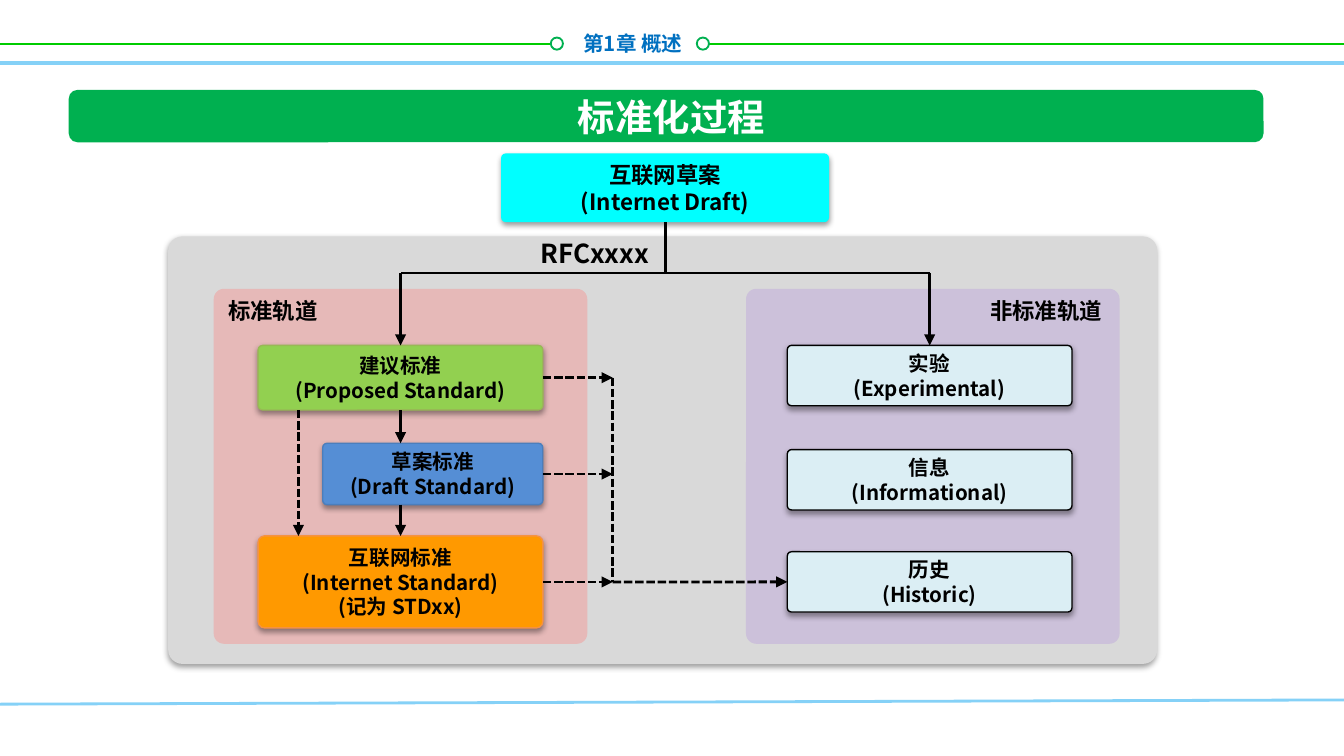
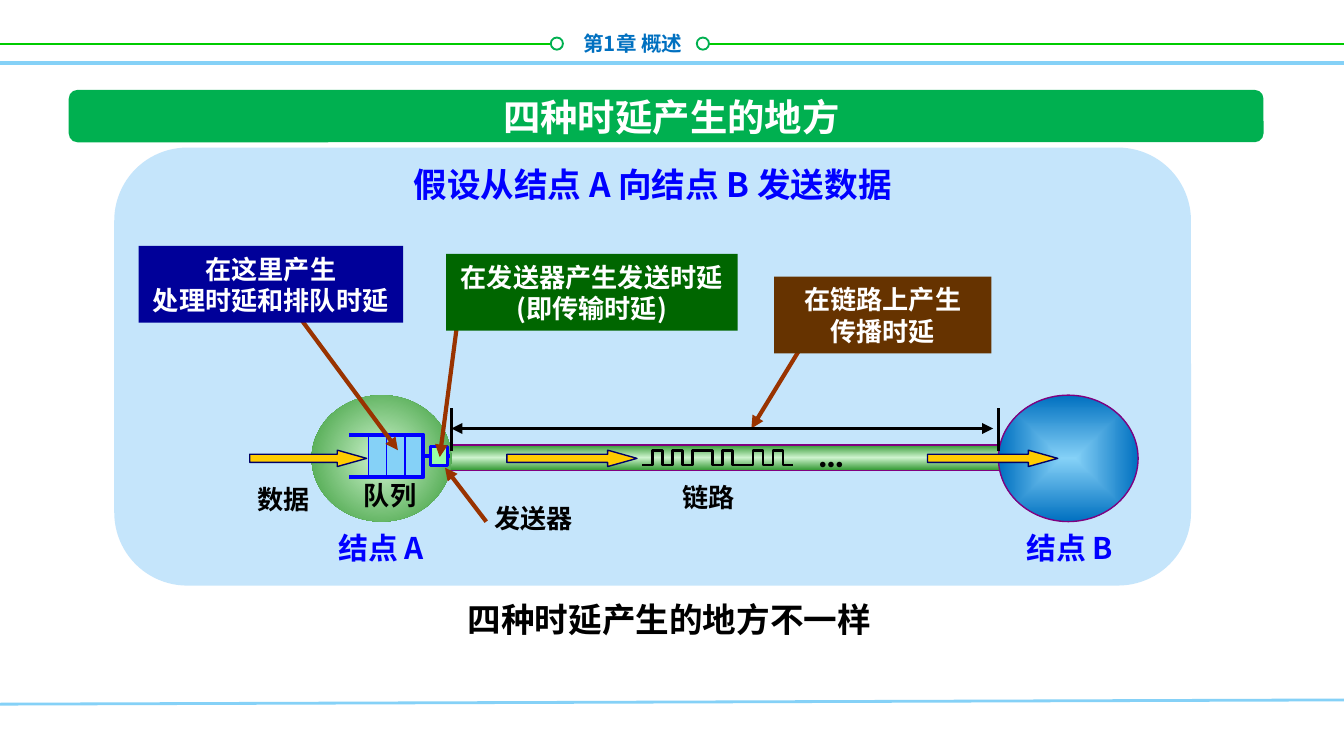
from lxml import etree
from pptx import Presentation
from pptx import util as u
from pptx.dml.color import RGBColor
from pptx.enum import dml, shapes, text
from pptx.oxml import parse_xml
from pptx.oxml.ns import nsdecls, qn

FONT = "Noto Sans CJK SC"
COLORS = {
    "white": "FFFFFF", "black": "000000", "rule_green": "00CC00", "green": "00B050",
    "sky": "85D1F7", "chapter": "0070C0", "gray": "D9D9D9", "cyan": "00FFFF",
    "pink": "E6B9B8", "lilac": "CCC1DA", "lime": "92D050", "lime_edge": "98B955",
    "orange": "FF9900", "orange_edge": "F69240", "steel": "558ED5", "steel_edge": "4B7EBC",
    "ice": "DBEEF4", "panel": "C5E5FB", "purple": "800080", "mint": "CDF3CD",
    "leaf": "339933", "blue": "0000FF", "sender": "9AFEA6", "gold": "FFCC00",
    "navy": "000066", "rust": "993300", "brown": "663300", "forest": "006600",
    "deep_blue": "000099",
}
KIND = shapes.MSO_SHAPE
CENTER, LEFT, RIGHT = text.PP_ALIGN.CENTER, text.PP_ALIGN.LEFT, text.PP_ALIGN.RIGHT
TOP_SIDE, BOTTOM_SIDE, LEFT_SIDE, RIGHT_SIDE = 0, 2, 1, 3


def rgb(name):
    return RGBColor.from_string(COLORS[name])


def cm(values):
    return [u.Cm(v) for v in values]


def apply(target, values):
    for key, value in values.items():
        setattr(target, key, value)


def write(frame, lines, size, color, align, font=FONT, pitch=1.2):
    """Fill a frame, one paragraph a line; pitch is line spacing over text size."""
    for i, line in enumerate(lines):
        para = frame.paragraphs[0] if i == 0 else frame.add_paragraph()
        apply(para, {"alignment": align, "line_spacing": u.Pt(size * pitch)})
        run = para.add_run()
        run.text = line
        apply(run.font, {"name": font, "size": u.Pt(size), "bold": True})
        run.font.color.rgb = rgb(color)
        etree.SubElement(run.font._element, qn("a:ea"), typeface=FONT)


def label(slide, box, line, size=14, color="black", align=LEFT, wrap=False,
          anchor=text.MSO_ANCHOR.TOP, **style):
    frame = slide.shapes.add_textbox(*cm(box)).text_frame
    apply(frame, {"word_wrap": wrap, "vertical_anchor": anchor})
    if not wrap:
        frame.auto_size = text.MSO_AUTO_SIZE.SHAPE_TO_FIT_TEXT
    write(frame, [line], size, color, align, **style)


def outline(shape, color, weight):
    if color is None:
        shape.line.fill.background()
    else:
        shape.line.color.rgb = rgb(color)
        shape.line.width = u.Pt(weight)


def block(slide, kind, box, fill, edge=None, weight=0.75, adjust=(), raised=False):
    shape = slide.shapes.add_shape(kind, *cm(box))
    shape.shadow.inherit = False
    shape.fill.solid()
    shape.fill.fore_color.rgb = rgb(fill)
    outline(shape, edge, weight)
    for i, value in enumerate(adjust):
        shape.adjustments[i] = value
    if raised:
        effects = shape._element.spPr.find(qn("a:effectLst"))
        effects.append(parse_xml(
            f'<a:outerShdw {nsdecls("a")} blurRad="{u.Pt(3.1)}" dist="{u.Pt(1.6)}" '
            'dir="5400000" rotWithShape="0"><a:srgbClr val="000000">'
            '<a:alpha val="38000"/></a:srgbClr></a:outerShdw>'))
    return shape


def captioned(slide, kind, box, fill, lines, size, color, inset=0.1, **style):
    shape = block(slide, kind, box, fill, **style)
    margin = u.Cm(inset)
    apply(shape.text_frame, {
        "word_wrap": True, "vertical_anchor": text.MSO_ANCHOR.MIDDLE,
        "margin_left": margin, "margin_right": margin,
        "margin_top": margin, "margin_bottom": margin})
    write(shape.text_frame, lines, size, color, CENTER)
    return shape


def stage(slide, box, fill, lines, edge=None, size=11):
    return captioned(slide, KIND.ROUNDED_RECTANGLE, box, fill, lines, size, "black",
                     edge=edge, adjust=[0.07], raised=True)


def shade(shape, stops, direction):
    """Swap the solid fill for a gradient: (percent, colour) stops, direction as XML."""
    marks = "".join(f'<a:gs pos="{pos * 1000}"><a:srgbClr val="{COLORS[name]}"/></a:gs>'
                    for pos, name in stops)
    solid = shape._element.spPr.find(qn("a:solidFill"))
    solid.getparent().replace(solid, parse_xml(
        f'<a:gradFill {nsdecls("a")} rotWithShape="1"><a:gsLst>{marks}</a:gsLst>'
        f'{direction}</a:gradFill>'))


def radial(kind):
    return (f'<a:path path="{kind}"><a:fillToRect l="50000" t="50000" '
            'r="50000" b="50000"/></a:path>')


def connect(slide, start, end, color="black", weight=1.5, dashed=False, arrows=("tailEnd",)):
    """Draw a line; each end is (x, y) in cm or (shape, side)."""
    ends = (start, end)
    points = [(0, 0) if hasattr(p[0], "shape_id") else p for p in ends]
    link = slide.shapes.add_connector(shapes.MSO_CONNECTOR.STRAIGHT,
                                      *cm(points[0]), *cm(points[1]))
    for place, join in zip(ends, (link.begin_connect, link.end_connect)):
        if hasattr(place[0], "shape_id"):
            join(*place)
    outline(link, color, weight)
    if dashed:
        link.line.dash_style = dml.MSO_LINE.SQUARE_DOT
    for arrow in arrows:
        etree.SubElement(link.line._get_or_add_ln(), qn(f"a:{arrow}"), type="triangle")
    etree.SubElement(link._element.spPr, qn("a:effectLst"))


def rule(slide, start, end, color="black", weight=1.5, dashed=False):
    connect(slide, start, end, color, weight, dashed, arrows=())


def polyline(slide, points, color, weight):
    spots = [cm(p) for p in points]
    builder = slide.shapes.build_freeform(*spots[0])
    builder.add_line_segments(spots[1:], close=False)
    shape = builder.convert_to_shape()
    shape.shadow.inherit = False
    shape.fill.background()
    outline(shape, color, weight)


def new_slide(deck, title):
    slide = deck.slides.add_slide(deck.slide_layouts[6])
    rule(slide, (0, 0.83), (10.41, 0.83), "rule_green", 1)
    rule(slide, (13.4, 0.83), (25.4, 0.83), "rule_green", 1)
    for x in (10.41, 13.17):
        block(slide, KIND.OVAL, (x, 0.71, 0.23, 0.23), "white", "green", 1)
    label(slide, (9.75, 0.46, 3.4, 0.71), "第1章 概述", 11, "chapter", RIGHT, wrap=True)
    rule(slide, (0, 13.31), (25.4, 13.23), "sky", 1.5)
    rule(slide, (0, 1.19), (25.4, 1.19), "sky", 2)
    block(slide, KIND.ROUNDED_RECTANGLE, (1.3, 1.7, 22.58, 0.99), "green", adjust=[0.167])
    label(slide, (3.48, 1.7, 18.42, 0.99), title, 20, "white", CENTER, wrap=True,
          anchor=text.MSO_ANCHOR.MIDDLE)
    return slide


def standards_slide(deck):
    slide = new_slide(deck, "标准化过程")
    standard_x, other_x, bus_y, rail_x = 7.57, 17.57, 5.16, 11.58
    block(slide, KIND.ROUNDED_RECTANGLE, (3.18, 4.47, 18.69, 8.08), "gray",
          adjust=[0.033], raised=True)
    for x, fill in ((4.04, "pink"), (14.1, "lilac")):
        block(slide, KIND.ROUNDED_RECTANGLE, (x, 5.46, 7.06, 6.71), fill, adjust=[0.029])
    label(slide, (8.71, 4.37, 3.81, 0.86), "RFCxxxx", align=RIGHT, wrap=True)
    label(slide, (4.06, 5.49, 2.51, 0.76), "标准轨道", 12, wrap=True)
    label(slide, (18.06, 5.49, 3.02, 0.76), "非标准轨道", 12, align=RIGHT, wrap=True)

    internet_draft = stage(slide, (9.47, 2.9, 6.2, 1.3), "cyan",
                           ["互联网草案", "(Internet Draft)"], size=12)
    proposed = stage(slide, (4.88, 6.53, 5.38, 1.22), "lime",
                     ["建议标准", "(Proposed Standard)"], "lime_edge")
    internet = stage(slide, (4.88, 10.13, 5.38, 1.74), "orange",
                     ["互联网标准", "(Internet Standard)", "(记为 STDxx)"], "orange_edge")
    draft = stage(slide, (6.1, 8.38, 4.16, 1.16), "steel",
                  ["草案标准", "(Draft Standard)"], "steel_edge")
    experimental, _, historic = [
        stage(slide, (14.88, y, 5.38, 1.14), "ice", lines, "black")
        for y, lines in ((6.53, ["实验", "(Experimental)"]),
                         (8.5, ["信息", "(Informational)"]),
                         (10.43, ["历史", "(Historic)"]))]

    rule(slide, (internet_draft, BOTTOM_SIDE), (12.57, bus_y))
    rule(slide, (other_x, bus_y), (standard_x, bus_y))
    connect(slide, (standard_x, bus_y), (proposed, TOP_SIDE))
    connect(slide, (other_x, bus_y), (experimental, TOP_SIDE))
    connect(slide, (proposed, BOTTOM_SIDE), (standard_x, 8.38))
    connect(slide, (standard_x, 9.54), (internet, TOP_SIDE))
    connect(slide, (5.64, 7.75), (5.64, 10.13), dashed=True)
    for source, y in ((proposed, 7.14), (draft, 8.96), (internet, 11)):
        connect(slide, (source, RIGHT_SIDE), (rail_x, y), dashed=True)
    rule(slide, (rail_x, 7.14), (rail_x, 11), dashed=True)
    connect(slide, (rail_x, 11), (historic, LEFT_SIDE), dashed=True)


def draw_queue(slide):
    left, top, width, height = 6.96, 8.22, 1.04, 0.8
    right, bottom = left + width, top + height
    queue = block(slide, KIND.RECTANGLE, (left, top, width, height), "sky", "blue")
    polyline(slide, [(6.6, top), (right, top), (right, bottom), (6.6, bottom)], "blue", 2.25)
    for i in range(3):
        x = left + i * width / 3
        rule(slide, (x, top), (x, bottom), "blue", 0.75)
    rule(slide, (queue, RIGHT_SIDE), (8.51, top + height / 2), "blue", 2.25)


def draw_signal(slide):
    left, low, high, unit = 12.14, 8.79, 8.51, 0.19
    points, level = [(left, low)], low
    for step in (1, 2, 3, 4, 5, 7, 8, 9, 11, 12, 13, 14):
        x = left + step * unit
        points.append((x, level))
        level = high if level == low else low
        points.append((x, level))
    points.append((left + 15 * unit, low))
    polyline(slide, points, "black", 1.5)


def delays_slide(deck):
    slide = new_slide(deck, "四种时延产生的地方")
    block(slide, KIND.ROUNDED_RECTANGLE, (2.16, 2.79, 20.35, 8.28), "panel")
    channel = block(slide, KIND.RECTANGLE, (8.36, 8.41, 10.69, 0.48), "leaf", "purple")
    shade(channel, [(0, "leaf"), (50, "mint"), (100, "leaf")], '<a:lin ang="5400000" scaled="1"/>')
    node_a = block(slide, KIND.OVAL, (5.89, 7.47, 2.64, 2.39), "leaf")
    shade(node_a, [(2, "mint"), (100, "leaf")], radial("circle"))
    node_b = block(slide, KIND.OVAL, (18.87, 7.47, 2.64, 2.39), "chapter", "purple")
    shade(node_b, [(0, "sky"), (100, "chapter")], radial("shape"))

    draw_queue(slide)
    block(slide, KIND.RECTANGLE, (8.13, 8.44, 0.33, 0.36), "sender", "blue", 1.5)
    for x, width in ((9.58, 2.46), (4.72, 2.21), (17.53, 2.46)):
        block(slide, KIND.RIGHT_ARROW, (x, 8.51, width, 0.31), "gold", "navy",
              adjust=[0.5, 1.79])
    draw_signal(slide)

    callouts = (
        ((15.19, 6.48), (14.2, 8.1), (14.63, 5.23, 4.11, 1.45), "brown",
         ["在链路上产生", "传播时延"]),
        ((8.66, 5.97), (8.31, 8.64), (8.43, 4.8, 5.51, 1.45), "forest",
         ["在发送器产生发送时延", "(即传输时延)"]),
        ((5.64, 5.97), (7.52, 8.51), (2.62, 4.65, 5, 1.45), "deep_blue",
         ["在这里产生", "处理时延和排队时延"]),
    )
    for start, target, box, fill, lines in callouts:
        connect(slide, start, target, "rust", 2.25)
        captioned(slide, KIND.RECTANGLE, box, fill, lines, 14, "white")
    connect(slide, (9.19, 9.86), (8.41, 8.84), "rust", 2.25)

    label(slide, (15.21, 8, 1.04, 0.97), "…", 20, font="Calibri")
    label(slide, (9.09, 9.37, 2.01, 0.86), "发送器")
    label(slide, (6.63, 8.94, 1.55, 0.89), "队列", font="Calibri")
    label(slide, (4.62, 9.02, 1.55, 0.89), "数据")
    label(slide, (12.65, 8.97, 1.55, 0.89), "链路")
    label(slide, (6.15, 9.88, 2.26, 0.94), "结点 A", 16, "blue")
    label(slide, (19.15, 9.88, 2.21, 0.94), "结点 B", 16, "blue")
    label(slide, (6.3, 2.79, 12.07, 1.22), "假设从结点 A 向结点 B 发送数据", 18, "blue",
          CENTER, wrap=True, pitch=1.5)
    label(slide, (6.3, 11.2, 12.7, 1.02), "四种时延产生的地方不一样", 18, align=CENTER, wrap=True)

    for x in (8.53, 18.87):
        rule(slide, (x, 7.72), (x, 8.53))
    connect(slide, (8.53, 8.1), (18.77, 8.1), arrows=("headEnd", "tailEnd"))


def main():
    deck = Presentation()
    apply(deck, {"slide_width": u.Cm(25.4), "slide_height": u.Cm(14.29)})
    standards_slide(deck)
    delays_slide(deck)
    deck.save("out.pptx")


if __name__ == "__main__":
    main()
